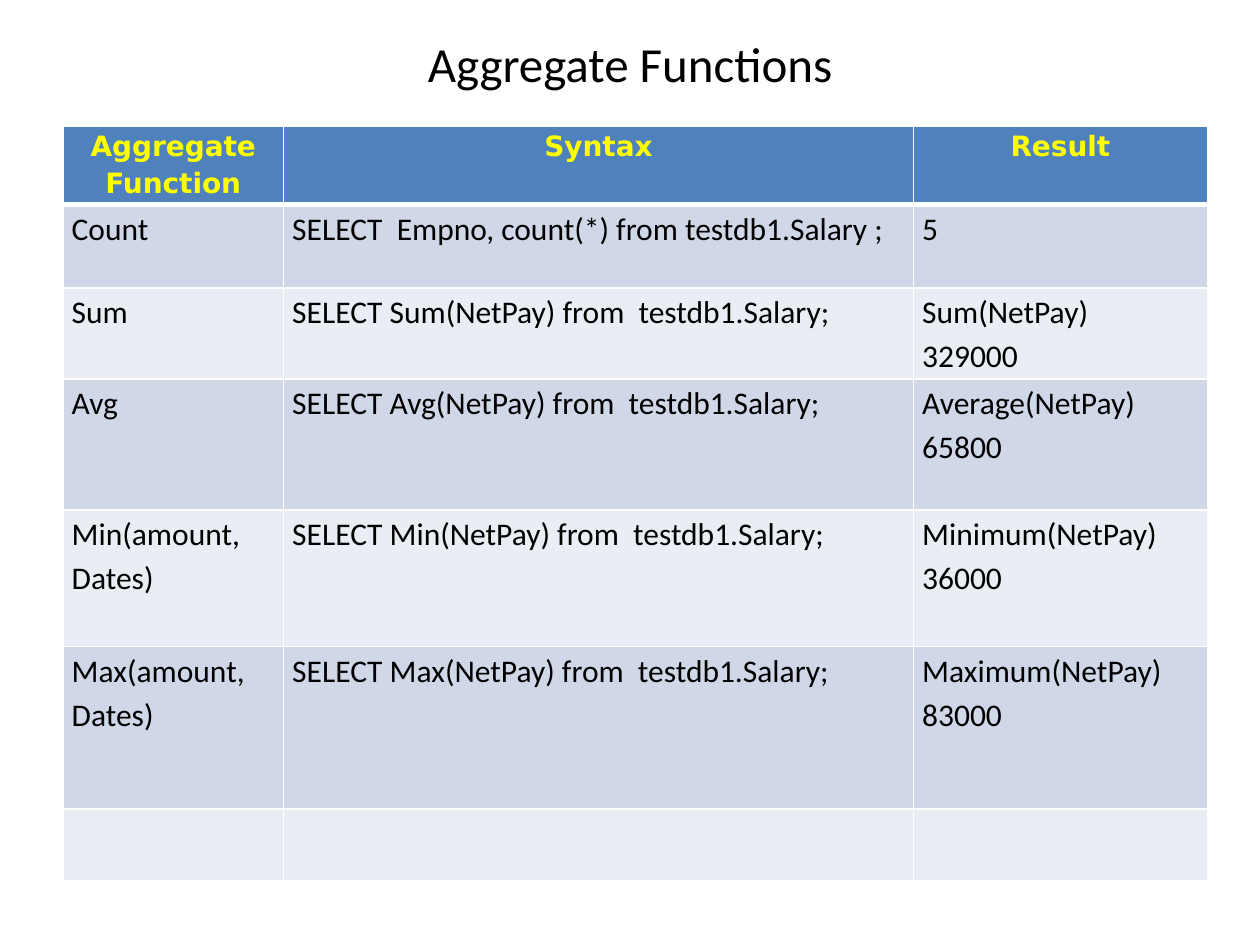
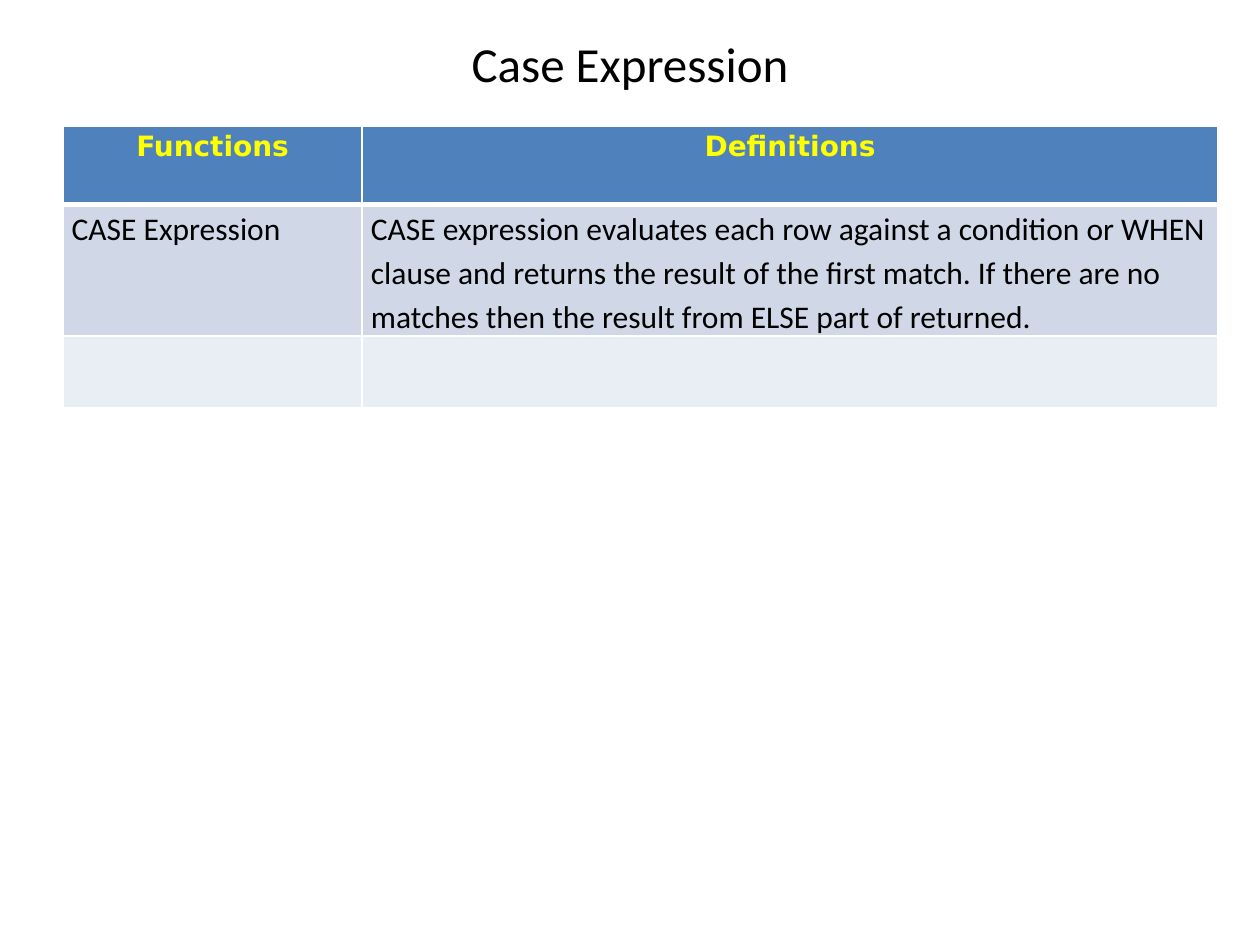
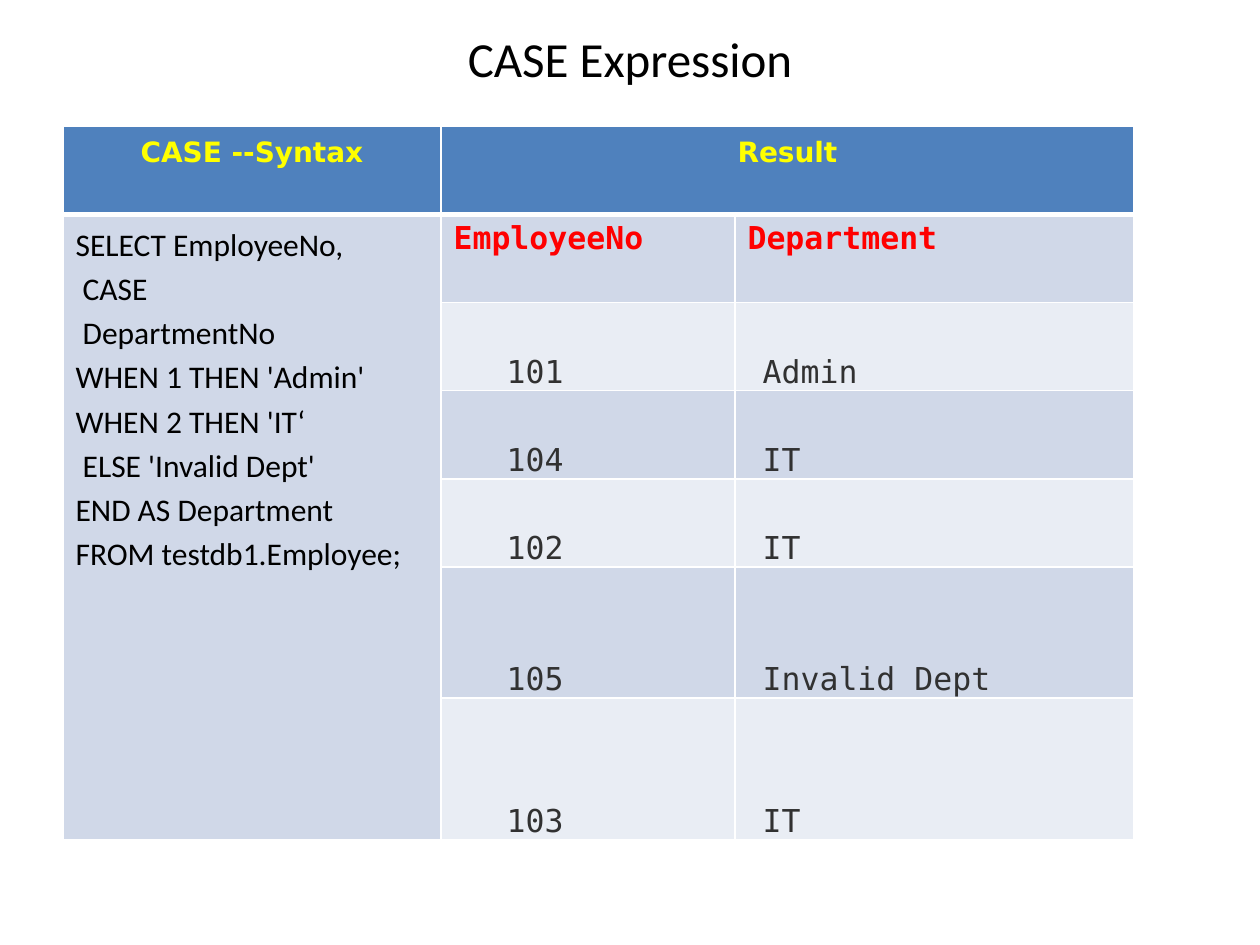
import dataclasses
from typing import Any

import pptx
import pptx.dml.color
import pptx.enum.text
import pptx.oxml
import pptx.oxml.ns
import pptx.util

Pt = pptx.util.Pt
ALIGN = pptx.enum.text.PP_ALIGN
ANCHOR = pptx.enum.text.MSO_ANCHOR

COLORS = {
    "black": "000000",
    "white": "FFFFFF",
    "header": "4F81BD",
    "header text": "FFFF00",
    "odd row": "D0D8E8",
    "even row": "E9EDF4",
    "column name": "FF0000",
    "value": "313131",
}
LEFT, TITLE_TOP, TITLE_WIDTH, TABLE_TOP = 36, 12, 648, 72


@dataclasses.dataclass(frozen=True)
class Style:
    font: str = "Calibri"
    size: float = 18
    color: str = "black"
    bold: bool = False
    align: Any = ALIGN.LEFT
    anchor: Any = ANCHOR.TOP
    spacing: float = 1.15
    margin_x: float = 5
    margin_y: float = 0
    indent: float = 0


TITLE = Style(size=28, align=ALIGN.CENTER, anchor=ANCHOR.MIDDLE, spacing=1)
HEADER = Style("DejaVu Sans", 16, "header text", True, ALIGN.CENTER)
BODY = Style()
ROOMY = {"margin_x": 7.2, "margin_y": 3.6}
ROOMY_HEADER = dataclasses.replace(HEADER, **ROOMY)
ROOMY_BODY = dataclasses.replace(BODY, **ROOMY)
COLUMN_NAME = Style("DejaVu Sans Mono", color="column name", bold=True, spacing=1, **ROOMY)
VALUE = Style("DejaVu Sans Mono", color="value", anchor=ANCHOR.BOTTOM)
NUMBER = dataclasses.replace(VALUE, indent=32.5)


@dataclasses.dataclass(frozen=True)
class Cell:
    text: str
    style: Style = BODY


@dataclasses.dataclass(frozen=True)
class TableSlide:
    title: str
    widths: list[float]
    heights: list[float]
    rows: list[list[Cell]]
    merges: tuple[tuple[int, int, int, int], ...] = ()
    title_height: float = 48


def cells(*texts: str, style: Style = BODY) -> list[Cell]:
    return [Cell(text, style) for text in texts]


def rgb(name: str) -> pptx.dml.color.RGBColor:
    return pptx.dml.color.RGBColor.from_string(COLORS[name])


def write(tf: Any, text: str, *, font: str, size: float, color: str, bold: bool,
          align: Any, spacing: float, indent: float) -> None:
    """Fill a text frame; a newline starts a paragraph, a vertical tab a line."""
    tf.word_wrap = True
    tf.text = text
    for p in tf.paragraphs:
        p.alignment = align
        p.line_spacing = spacing
        if indent:
            p._p.get_or_add_pPr().set("marL", str(Pt(indent)))
        for r in p.runs:
            r.font.name = font
            r.font.size = Pt(size)
            r.font.bold = bold
            r.font.color.rgb = rgb(color)


def apply_style(box: Any, tf: Any, text: str, style: Style) -> None:
    """Set margins and anchor on a cell or text frame, then write its text."""
    box.margin_left = box.margin_right = Pt(style.margin_x)
    box.margin_top = box.margin_bottom = Pt(style.margin_y)
    box.vertical_anchor = style.anchor
    kwargs = dataclasses.asdict(style)
    for key in ("margin_x", "margin_y", "anchor"):
        del kwargs[key]
    write(tf, text, **kwargs)


def add_borders(cell: Any, top: float, bottom: float) -> None:
    tcPr = cell._tc.get_or_add_tcPr()
    for side, width in (("L", 1), ("R", 1), ("T", top), ("B", bottom)):
        tcPr.append(pptx.oxml.parse_xml(
            f'<a:ln{side} {pptx.oxml.ns.nsdecls("a")} w="{Pt(width)}"><a:solidFill>'
            f'<a:srgbClr val="{COLORS["white"]}"/></a:solidFill></a:ln{side}>'))


def add_title(s: Any, text: str, height: float) -> None:
    sp = s.shapes.add_textbox(Pt(LEFT), Pt(TITLE_TOP), Pt(TITLE_WIDTH), Pt(height))
    apply_style(sp.text_frame, sp.text_frame, text, TITLE)


def add_table(s: Any, spec_: TableSlide) -> None:
    table = s.shapes.add_table(
        len(spec_.heights), len(spec_.widths), Pt(LEFT), Pt(TABLE_TOP),
        Pt(sum(spec_.widths)), Pt(sum(spec_.heights))).table
    table.first_row = table.horz_banding = False
    for column, width in zip(table.columns, spec_.widths):
        column.width = Pt(width)
    for row, height in zip(table.rows, spec_.heights):
        row.height = Pt(height)
    for top, left, bottom, right in spec_.merges:
        table.cell(top, left).merge(table.cell(bottom, right))
    for i, row in enumerate(spec_.rows):
        fill = "header" if i == 0 else "odd row" if i % 2 else "even row"
        free = [c for c in table.rows[i].cells if not c.is_spanned]
        for cell, content in zip(free, row):
            add_borders(cell, top=3 if i == 1 else 1, bottom=3 if i == 0 else 1)
            cell.fill.solid()
            cell.fill.fore_color.rgb = rgb(fill)
            apply_style(cell, cell.text_frame, content.text, content.style)


CASE_QUERY = """SELECT EmployeeNo,
 CASE
 DepartmentNo
WHEN 1 THEN 'Admin'
WHEN 2 THEN 'IT‘
 ELSE 'Invalid Dept'
END AS Department
FROM testdb1.Employee;"""
CASE_DEFINITION = (
    "CASE expression evaluates each row against a condition or WHEN clause and "
    "returns the result of the first match. If there are no matches then the "
    "result from ELSE part of returned.")
DEPARTMENTS = [("101", "Admin"), ("104", "IT"), ("102", "IT"),
               ("105", "Invalid Dept"), ("103", "IT")]

SLIDES = [
    TableSlide(
        "Aggregate Functions", [126, 360, 168], [45, 47.5, 52, 75, 78, 93, 41],
        [
            cells("Aggregate Function", "Syntax", "Result", style=HEADER),
            cells("Count", "SELECT  Empno, count(*) from testdb1.Salary ;", "5"),
            cells("Sum", "SELECT Sum(NetPay) from  testdb1.Salary;",
                  "Sum(NetPay)\v329000"),
            cells("Avg", "SELECT Avg(NetPay) from  testdb1.Salary;",
                  "Average(NetPay)\v65800"),
            cells("Min(amount, Dates)", "SELECT Min(NetPay) from  testdb1.Salary;",
                  "Minimum(NetPay)\v36000"),
            cells("Max(amount, Dates)", "SELECT Max(NetPay) from  testdb1.Salary;",
                  "Maximum(NetPay)\v83000"),
            cells("", "", ""),
        ]),
    TableSlide(
        "Case Expression", [171, 489], [45, 75, 41],
        [
            cells("Functions", "Definitions", style=HEADER),
            cells("CASE Expression", CASE_DEFINITION),
            cells("", ""),
        ]),
    TableSlide(
        "CASE Expression", [216, 168, 228], [50.4] * 5 + [75, 81],
        [
            cells("CASE --Syntax", "Result", style=ROOMY_HEADER),
            [Cell(CASE_QUERY, ROOMY_BODY),
             *cells("EmployeeNo", "Department", style=COLUMN_NAME)],
            *([Cell(number, NUMBER), Cell(f" {name}", VALUE)]
              for number, name in DEPARTMENTS),
        ],
        merges=((0, 1, 0, 2), (1, 0, 6, 0)), title_height=42),
]


def main() -> None:
    prs = pptx.Presentation()
    prs.slide_width, prs.slide_height = Pt(720), Pt(540)
    for spec_ in SLIDES:
        s = prs.slides.add_slide(prs.slide_layouts[6])
        add_title(s, spec_.title, spec_.title_height)
        add_table(s, spec_)
    prs.save("out.pptx")


if __name__ == "__main__":
    main()
